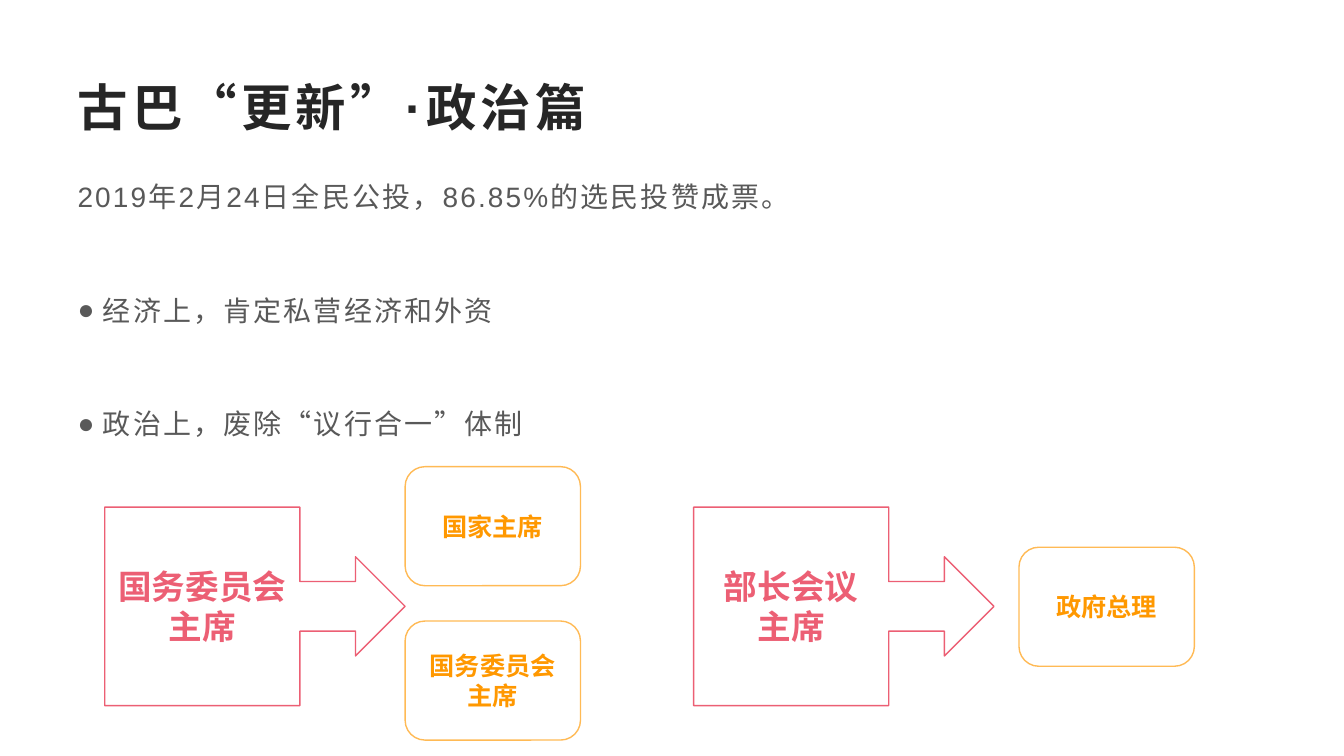
"""Build the slide on the political side of Cuba's renewal."""
from lxml.etree import SubElement
from pptx import Presentation
from pptx.dml.color import RGBColor
from pptx.enum.shapes import MSO_SHAPE as Preset
from pptx.enum.text import MSO_ANCHOR as Anchor, MSO_AUTO_SIZE as AutoSize, PP_ALIGN as Align
from pptx.oxml.ns import qn
from pptx.util import Cm, Pt

WHITE = RGBColor(0xFF, 0xFF, 0xFF)
INK = RGBColor(0x26, 0x26, 0x26)
GREY = RGBColor(0x59, 0x59, 0x59)
PINK = RGBColor(0xEC, 0x5F, 0x74)
AMBER = RGBColor(0xFF, 0xBA, 0x55)
ORANGE = RGBColor(0xFF, 0x98, 0x00)

TITLE = "古巴“更新”·政治篇"
REFERENDUM = "2019年2月24日全民公投，86.85%的选民投赞成票。"
REFORMS = ["经济上，肯定私营经济和外资", "政治上，废除“议行合一”体制"]
OFFICE_CHANGES = [
    {"old": "国务委员会主席", "left": 2.64, "gap": 0,
     "new": [("国家主席", 11.76), ("国务委员会主席", 15.65)]},
    {"old": "部长会议\n主席", "left": 17.48, "gap": 0.63,
     "new": [("政府总理", 13.79)]},
]
OLD_TOP, OLD_WIDTH, OLD_HEIGHT = 12.78, 7.57, 5
NEW_WIDTH, NEW_HEIGHT = 4.42, 3


def place(part, left, top, width, height):
    part.left, part.top, part.width, part.height = map(Cm, (left, top, width, height))


def format_runs(paragraph, size, colour, bold=False, spacing=0):
    for run in paragraph.runs:
        run.font.name = "Arial"
        run.font.size = Pt(size)
        run.font.bold = bold
        run.font.color.rgb = colour
        if spacing:
            run.font._element.set("spc", str(int(spacing * 100)))


def set_bullet(paragraph, symbol, indent):
    properties = paragraph._p.get_or_add_pPr()
    properties.set("marL", str(Cm(indent)))
    properties.set("indent", str(-Cm(indent)))
    if symbol:
        SubElement(properties, qn("a:buFont")).set("typeface", "Arial")
        SubElement(properties, qn("a:buChar")).set("char", symbol)
    else:
        SubElement(properties, qn("a:buNone"))


def add_office(slide, preset, label, box, line, colour, size):
    office = slide.shapes.add_shape(preset, *map(Cm, box))
    office.shadow.inherit = False
    office.fill.solid()
    office.fill.fore_color.rgb = WHITE
    office.line.color.rgb = line
    office.line.width = Pt(1)
    frame = office.text_frame
    frame.text = label
    frame.word_wrap = True
    frame.vertical_anchor = Anchor.MIDDLE
    for paragraph in frame.paragraphs:
        paragraph.alignment = Align.CENTER
        format_runs(paragraph, size, colour, bold=True)


def main():
    deck = Presentation()
    deck.slide_width, deck.slide_height = Cm(33.87), Cm(19.05)
    slide = deck.slides.add_slide(deck.slide_layouts[1])

    title, body = slide.placeholders
    place(title, 1.7, 1.7, 30.48, 1.96)
    title.text_frame.text = TITLE
    title.text_frame.auto_size = AutoSize.NONE
    title.text_frame.vertical_anchor = Anchor.MIDDLE
    heading = title.text_frame.paragraphs[0]
    heading.alignment = Align.LEFT
    format_runs(heading, 36, INK, bold=True, spacing=3)

    place(body, 1.7, 4.14, 30.48, 14.3)
    body.text_frame.text = "\n".join([REFERENDUM, *REFORMS])
    body.text_frame.auto_size = AutoSize.NONE
    for index, paragraph in enumerate(body.text_frame.paragraphs):
        set_bullet(paragraph, "●" if index else None, 0.64 if index else 0)
        paragraph.line_spacing = 1.3
        paragraph.space_before = Pt(40 if index else 0)
        paragraph.space_after = Pt(10)
        format_runs(paragraph, 20, GREY, spacing=1.5)

    for change in OFFICE_CHANGES:
        old_box = change["left"], OLD_TOP, OLD_WIDTH, OLD_HEIGHT
        add_office(slide, Preset.RIGHT_ARROW_CALLOUT, change["old"], old_box, PINK, PINK, 24)
        new_left = change["left"] + OLD_WIDTH + change["gap"]
        for label, top in change["new"]:
            new_box = new_left, top, NEW_WIDTH, NEW_HEIGHT
            add_office(slide, Preset.ROUNDED_RECTANGLE, label, new_box, AMBER, ORANGE, 18)

    deck.save("out.pptx")


if __name__ == "__main__":
    main()
